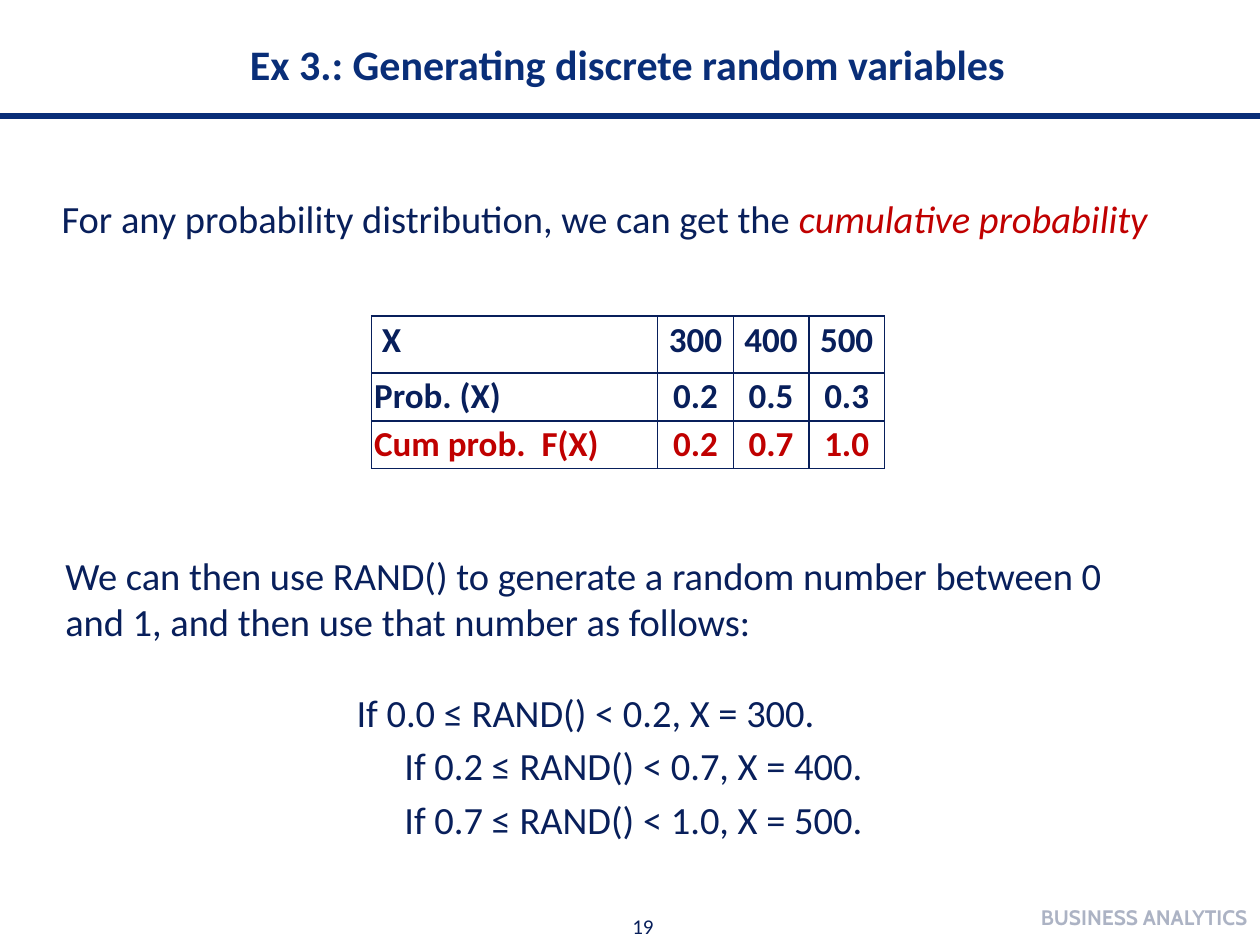
"""Build the slide on generating discrete random variables."""
from lxml import etree
from pptx import Presentation, util as u
from pptx.dml.color import RGBColor
from pptx.enum import shapes, text
from pptx.oxml import ns

NAVY, BLUE, RED = "081F5B", "092E78", "C00000"
rgb = RGBColor.from_string


def style(p, size, color=NAVY, bold=False, name="Calibri"):
    for r in p.runs:
        r.font.size, r.font.bold, r.font.name = u.Pt(size), bold, name
        r.font.color.rgb = rgb(color)


def add_text(s, box, words, size, color=NAVY, bold=False, name="Calibri"):
    sp = s.shapes.add_textbox(*map(u.Inches, box))
    tf = sp.text_frame
    tf.word_wrap = True
    p = tf.paragraphs[0]
    p.text = words
    style(p, size, color, bold, name)
    return p, tf


prs = Presentation()
prs.slide_width, prs.slide_height = u.Inches(10), u.Inches(7.5)
s = prs.slides.add_slide(prs.slide_layouts[1])

line = s.shapes.add_connector(shapes.MSO_CONNECTOR.STRAIGHT, 0, u.Inches(0.92), u.Inches(10), u.Inches(0.92))
line.line.color.rgb = rgb(BLUE)
line.line.width = u.Pt(3)
etree.SubElement(line._element.spPr, ns.qn("a:effectLst"))

p, tf = add_text(s, (6.67, 7.08, 3.33, 0.4), "BUSINESS ANALYTICS", 12, "06194C", True, "Cabin")
p.alignment = text.PP_ALIGN.RIGHT
tf.vertical_anchor = text.MSO_ANCHOR.MIDDLE
clr = p.runs[0]._r.find(".//" + ns.qn("a:srgbClr"))
etree.SubElement(clr, ns.qn("a:alpha"), val="33000")

add_text(s, (4.92, 7.2, 2.08, 0.3), "19", 12)

title, body = s.shapes.title, s.placeholders[1]
for sp, box in ((title, (0.67, 0.33, 8.62, 0.35)), (body, (2.73, 5.42, 4.9, 1.54))):
    sp.left, sp.top, sp.width, sp.height = map(u.Inches, box)
    sp.text_frame.auto_size = text.MSO_AUTO_SIZE.NONE

tf = title.text_frame
tf.text = "Ex 3.: Generating discrete random variables"
tf.vertical_anchor = text.MSO_ANCHOR.MIDDLE
tf.paragraphs[0].alignment = text.PP_ALIGN.CENTER
style(tf.paragraphs[0], 24, BLUE, True)

rules = [("0.0", "0.2", 300), ("0.2", "0.7", 400), ("0.7", "1.0", 500)]
tf = body.text_frame
tf.text = "\n".join(f"If {low} ≤ RAND() < {high}, X = {x}." for low, high, x in rules)
for i, p in enumerate(tf.paragraphs):
    pPr = p._p.get_or_add_pPr()
    pPr.set("marL", str(u.Inches(0.38)))
    pPr.set("indent", str(0 if i else -u.Inches(0.38)))
    etree.SubElement(pPr, ns.qn("a:buNone"))
    p.space_before = u.Pt(4 if i else 0)
    style(p, 22)

p, tf = add_text(s, (0.39, 1.5, 9.58, 1.37), "For any probability distribution, we can get the ", 22)
r = p.add_run()
r.text = "cumulative probability"
style(p, 22)
r.font.italic = True
r.font.color.rgb = rgb(RED)

rows = [
    ("X", "300", "400", "500"),
    ("Prob. (X)", "0.2", "0.5", "0.3"),
    ("Cum prob.  F(X)", "0.2", "0.7", "1.0"),
]
tbl = s.shapes.add_table(3, 4, u.Inches(2.95), u.Inches(2.51), u.Inches(4.07), u.Inches(1.21)).table
tbl.first_row = tbl.horz_banding = False
for col, width in zip(tbl.columns, (2.27, 0.6, 0.6, 0.6)):
    col.width = u.Inches(width)
for row, height in zip(tbl.rows, (0.45, 0.38, 0.38)):
    row.height = u.Inches(height)
for i, values in enumerate(rows):
    for j, value in enumerate(values):
        cell = tbl.cell(i, j)
        cell.margin_left = cell.margin_right = cell.margin_top = cell.margin_bottom = u.Inches(0.02)
        cell.text = value
        p = cell.text_frame.paragraphs[0]
        p.alignment = text.PP_ALIGN.CENTER if j else text.PP_ALIGN.LEFT
        style(p, 20, RED if i == 2 else NAVY, True)
        tcPr = cell._tc.get_or_add_tcPr()
        for side in ("lnL", "lnR", "lnT", "lnB"):
            ln = etree.SubElement(tcPr, ns.qn("a:" + side), w=str(u.Pt(1)))
            fill = etree.SubElement(ln, ns.qn("a:solidFill"))
            etree.SubElement(fill, ns.qn("a:srgbClr"), val=NAVY)
        cell.fill.background()
tbl.cell(0, 0).margin_left = u.Inches(0.08)

words = "We can then use RAND() to generate a random number between 0 \vand 1, and then use that number as follows:"
add_text(s, (0.42, 4.33, 8.88, 0.84), words, 22)

prs.save("out.pptx")
